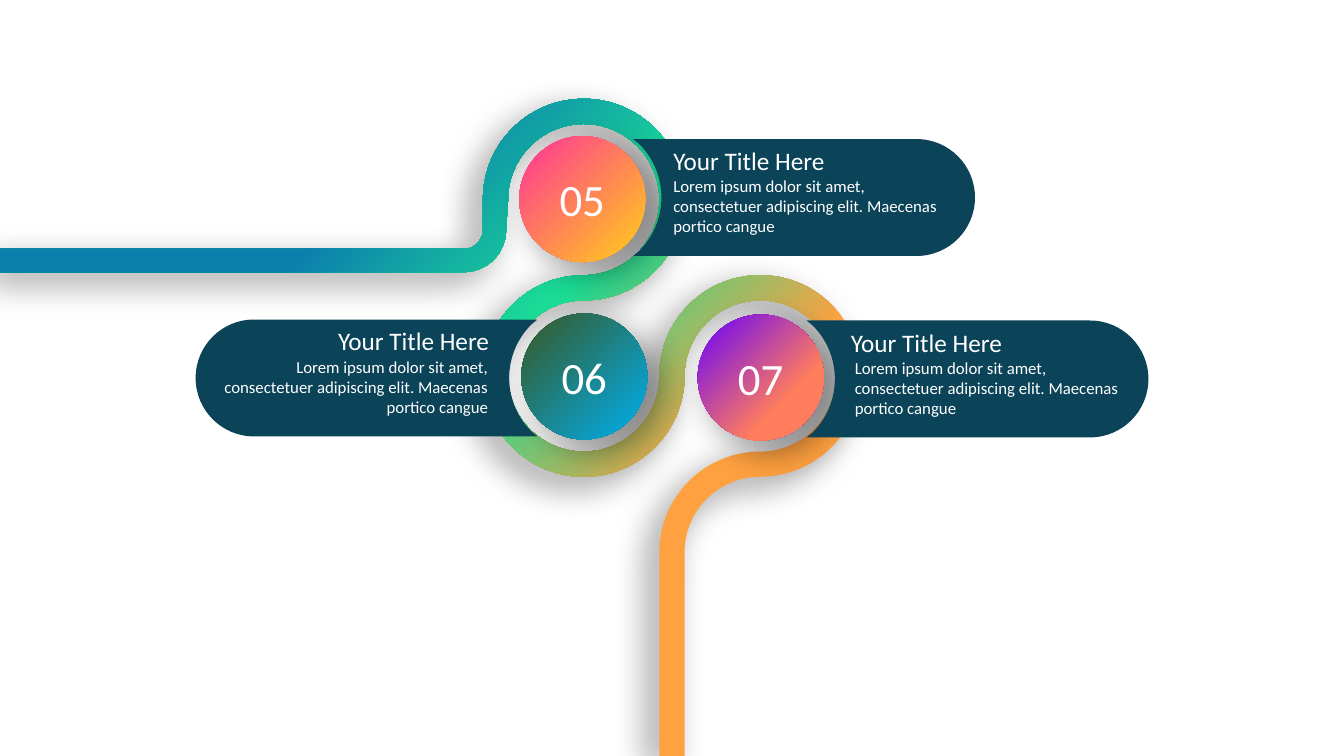
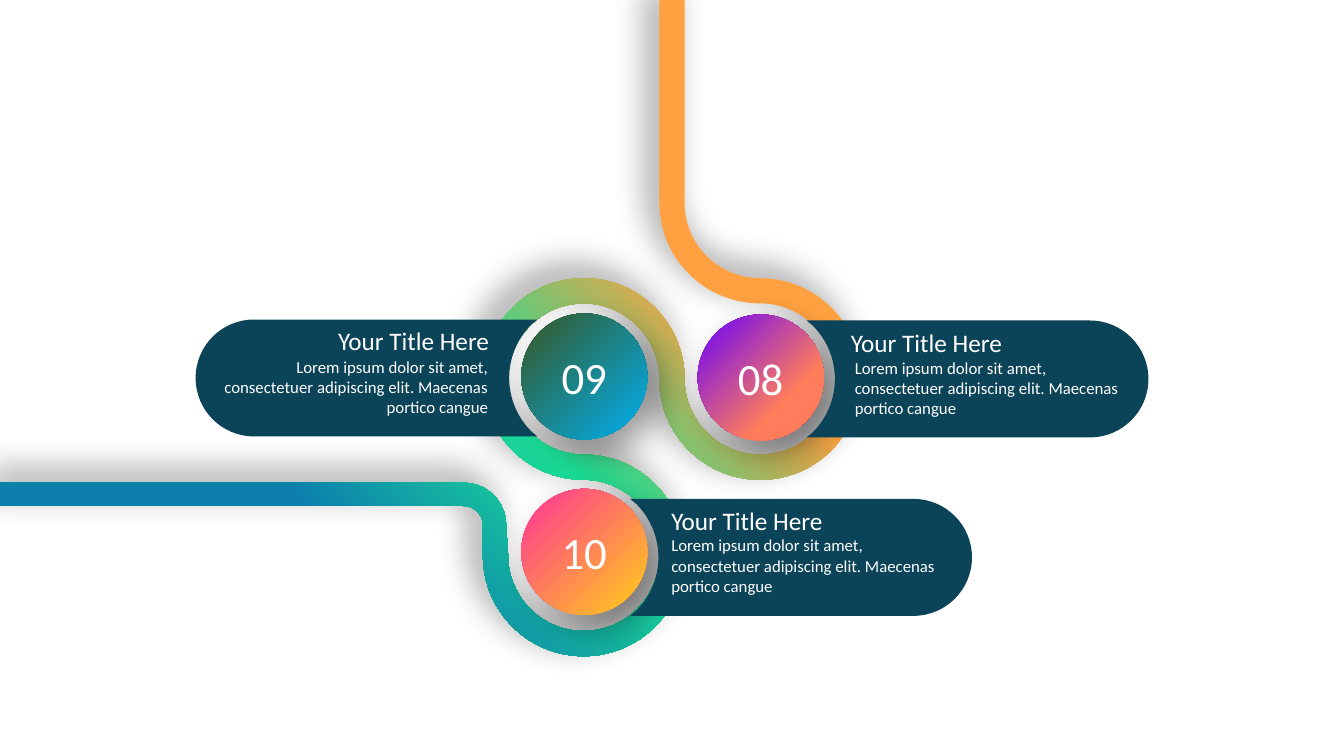
from math import cos, radians, sin, tan
from typing import Any, NamedTuple

from lxml.etree import SubElement
from pptx import Presentation
from pptx.dml.color import RGBColor
from pptx.enum.shapes import MSO_SHAPE
from pptx.enum.text import MSO_ANCHOR, MSO_AUTO_SIZE, PP_ALIGN
from pptx.oxml.ns import qn
from pptx.util import Emu, Pt

PX = 9144  # one hundredth of an inch, in EMU
SLIDE_WIDTH, SLIDE_HEIGHT = 1333, 750
MIRROR_HEIGHT = 749
COLORS = {
    "white": "FFFFFF", "black": "000000", "navy": "0B4359",
    "orange": "FFA140", "mint": "1BDD96", "blue": "0C7FAD",
    "coral": "FF7D5D", "violet": "6600FF", "forest": "385723",
    "sky": "00B0F0", "amber": "FFBF27", "pink": "FF3399",
}
FONT = "Calibri"
TITLE = "Your Title Here"
BODY = "Lorem ipsum dolor sit amet, consectetuer adipiscing elit. Maecenas portico cangue"
DISC_SIZE = 125
PILL_WIDTH, PILL_HEIGHT = 339, 116
TITLE_SIZE, BODY_SIZE = (241, 40), (283, 71)

Point = tuple[float, float]
Step = list[Point]  # one point is a line, three points are a curve


class Gradient(NamedTuple):
    stops: list[tuple[int, str]]
    angle: int | None = None  # None spreads from the bottom right corner


class Bend(NamedTuple):
    """A turn of the road; left and right are the radii of its two edges."""
    x: int
    y: int
    left: int
    right: int
    start: int
    end: int


class Disc(NamedTuple):
    x: int
    y: int
    number: str
    gradient: Gradient


class Pill(NamedTuple):
    x: int
    y: int
    title_offset: tuple[int, int]
    body_offset: tuple[int, int]
    opens_left: bool = False


class Page(NamedTuple):
    discs: list[Disc]
    pills: list[Pill]
    mirrored: bool = False


ROAD_STOPS = [(30, "orange"), (50, "mint"), (70, "blue")]
VIOLET_FILL = Gradient([(31, "coral"), (100, "violet")])
TEAL_FILL = Gradient([(0, "forest"), (100, "sky")], 45)
PINK_FILL = Gradient([(11, "amber"), (100, "pink")])

# The road comes in from the left, rounds three discs and leaves vertically
BENDS = [
    Bend(460, 228, 19, 42, 90, 0),
    Bend(579, 198, 100, 75, 180, 450),
    Bend(579, 373, 75, 100, 270, 0),
    Bend(754, 373, 100, 75, 180, 450),
    Bend(754, 548, 75, 100, 270, 180),
]
SIDE_PILLS = [
    Pill(194, 317, (60, 1), (17, 32), opens_left=True),
    Pill(800, 318, (34, 2), (38, 32)),
]
PAGES = [
    Page([Disc(692, 312, "07", VIOLET_FILL), Disc(517, 311, "06", TEAL_FILL),
          Disc(515, 135, "05", PINK_FILL)],
         [*SIDE_PILLS, Pill(628, 138, (30, 1), (30, 31))]),
    Page([Disc(692, 312, "08", VIOLET_FILL), Disc(517, 311, "09", TEAL_FILL),
          Disc(517, 485, "10", PINK_FILL)],
         [*SIDE_PILLS, Pill(625, 495, (31, 1), (31, 31))], mirrored=True),
]


# Outlines
def arc(x: float, y: float, radius: float, start: float, end: float) -> list[Step]:
    """A line to the start of the arc, then one curve for each quarter turn."""
    quarters = max(1, round(abs(end - start) / 90))
    sweep = radians(end - start) / quarters
    pull = radius * 4 / 3 * tan(sweep / 4)
    steps: list[Step] = [[(x + radius * cos(radians(start)),
                           y + radius * sin(radians(start)))]]
    for quarter in range(quarters):
        first = radians(start) + quarter * sweep
        last = first + sweep
        from_x, from_y = steps[-1][-1]
        to_x, to_y = x + radius * cos(last), y + radius * sin(last)
        steps.append([(from_x - pull * sin(first), from_y + pull * cos(first)),
                      (to_x + pull * sin(last), to_y - pull * cos(last)),
                      (to_x, to_y)])
    return steps


def road_outline(mirrored: bool) -> list[Step]:
    outward = [step for bend in BENDS
               for step in arc(bend.x, bend.y, bend.left, bend.start, bend.end)]
    homeward = [step for bend in reversed(BENDS)
                for step in arc(bend.x, bend.y, bend.right, bend.end, bend.start)]
    outline = [[(0, outward[0][0][1])], *outward,
               [(outward[-1][-1][0], SLIDE_HEIGHT)],
               [(homeward[0][0][0], SLIDE_HEIGHT)], *homeward,
               [(0, homeward[-1][-1][1])]]
    if mirrored:
        return [[(x, max(0, MIRROR_HEIGHT - y)) for x, y in step] for step in outline]
    return outline


def pill_outline(pill: Pill) -> list[Step]:
    radius = PILL_HEIGHT / 2
    outline = [[(0, 0)], *arc(PILL_WIDTH - radius, radius, radius, -90, 90),
               [(0, PILL_HEIGHT)], *arc(-47, radius, 75, 45, -45)]
    return [[(pill.x + (PILL_WIDTH - x if pill.opens_left else x), pill.y + y)
             for x, y in step] for step in outline]


# Formatting
def set_values(target: Any, values: dict[str, Any]) -> None:
    for name, value in values.items():
        setattr(target, name, value)


def clean(shape: Any) -> None:
    shape.line.fill.background()
    shape.shadow.inherit = False


def fill_gradient(shape: Any, gradient: Gradient) -> None:
    shape.fill.gradient()
    fill = shape._element.spPr.find(qn("a:gradFill"))
    fill.clear()
    fill.set("rotWithShape", "1")
    stops = SubElement(fill, qn("a:gsLst"))
    for position, color in gradient.stops:
        stop = SubElement(stops, qn("a:gs"), pos=str(position * 1000))
        SubElement(stop, qn("a:srgbClr"), val=COLORS[color])
    if gradient.angle is None:
        spread = SubElement(fill, qn("a:path"), path="circle")
        SubElement(spread, qn("a:fillToRect"), l="100000", t="100000")
        SubElement(fill, qn("a:tileRect"), r="-100000", b="-100000")
    else:
        SubElement(fill, qn("a:lin"), ang=str(gradient.angle * 60000), scaled="0")


def add_shadow(shape: Any, direction: int) -> None:
    effects = shape._element.spPr.find(qn("a:effectLst"))
    shadow = SubElement(effects, qn("a:outerShdw"), blurRad=str(Pt(25)),
                        dist=str(Pt(12)), dir=str(direction * 60000), rotWithShape="0")
    color = SubElement(shadow, qn("a:srgbClr"), val=COLORS["black"])
    SubElement(color, qn("a:alpha"), val="40000")


def write(frame: Any, text: str, size: int, alignment: PP_ALIGN) -> None:
    para = frame.paragraphs[0]
    para.alignment = alignment
    span = para.add_run()
    span.text = text
    set_values(span.font, {"name": FONT, "size": Pt(size)})
    span.font.color.rgb = RGBColor.from_string(COLORS["white"])


# Parts of a page
def draw_outline(shapes: Any, outline: list[Step]) -> Any:
    points = [(round(x * PX), round(y * PX)) for step in outline for x, y in step]
    builder = shapes.build_freeform(*points[0])
    builder.add_line_segments(points[1:], close=True)
    shape = builder.convert_to_shape()
    # Join the three lines of each curve step into one cubic curve
    lines = iter(list(shape._element.iter(qn("a:lnTo"))))
    for step in outline[1:]:
        parts = [next(lines) for _ in step]
        if len(parts) == 3:
            curve = SubElement(parts[0].getparent(), qn("a:cubicBezTo"))
            parts[0].addprevious(curve)
            for part in parts:
                curve.append(part[0])
                part.getparent().remove(part)
    clean(shape)
    return shape


def draw_road(shapes: Any, mirrored: bool) -> None:
    road = draw_outline(shapes, road_outline(mirrored))
    fill_gradient(road, Gradient(ROAD_STOPS, 135 if mirrored else 225))
    add_shadow(road, 225 if mirrored else 135)


def draw_disc(shapes: Any, disc: Disc) -> None:
    circle = shapes.add_shape(MSO_SHAPE.OVAL, Emu(disc.x * PX), Emu(disc.y * PX),
                              Emu(DISC_SIZE * PX), Emu(DISC_SIZE * PX))
    clean(circle)
    fill_gradient(circle, disc.gradient)
    add_shadow(circle, 45)
    circle.text_frame.vertical_anchor = MSO_ANCHOR.MIDDLE
    write(circle.text_frame, disc.number, 32, PP_ALIGN.CENTER)


def draw_pill(shapes: Any, pill: Pill) -> None:
    group = shapes.add_group_shape()
    body = draw_outline(group.shapes, pill_outline(pill))
    body.fill.solid()
    body.fill.fore_color.rgb = RGBColor.from_string(COLORS["navy"])
    alignment = PP_ALIGN.RIGHT if pill.opens_left else PP_ALIGN.LEFT
    for text, size, offset, extent in (
        (TITLE, 18, pill.title_offset, TITLE_SIZE),
        (BODY, 12, pill.body_offset, BODY_SIZE),
    ):
        box = group.shapes.add_textbox(
            Emu((pill.x + offset[0]) * PX), Emu((pill.y + offset[1]) * PX),
            Emu(extent[0] * PX), Emu(extent[1] * PX))
        set_values(box.text_frame, {"word_wrap": True,
                                    "auto_size": MSO_AUTO_SIZE.SHAPE_TO_FIT_TEXT})
        write(box.text_frame, text, size, alignment)


def main() -> None:
    deck = Presentation()
    set_values(deck, {"slide_width": Emu(SLIDE_WIDTH * PX),
                      "slide_height": Emu(SLIDE_HEIGHT * PX)})
    for page in PAGES:
        shapes = deck.slides.add_slide(deck.slide_layouts[6]).shapes
        draw_road(shapes, page.mirrored)
        for disc in page.discs:
            draw_disc(shapes, disc)
        for pill in page.pills:
            draw_pill(shapes, pill)
    deck.save("out.pptx")


if __name__ == "__main__":
    main()
